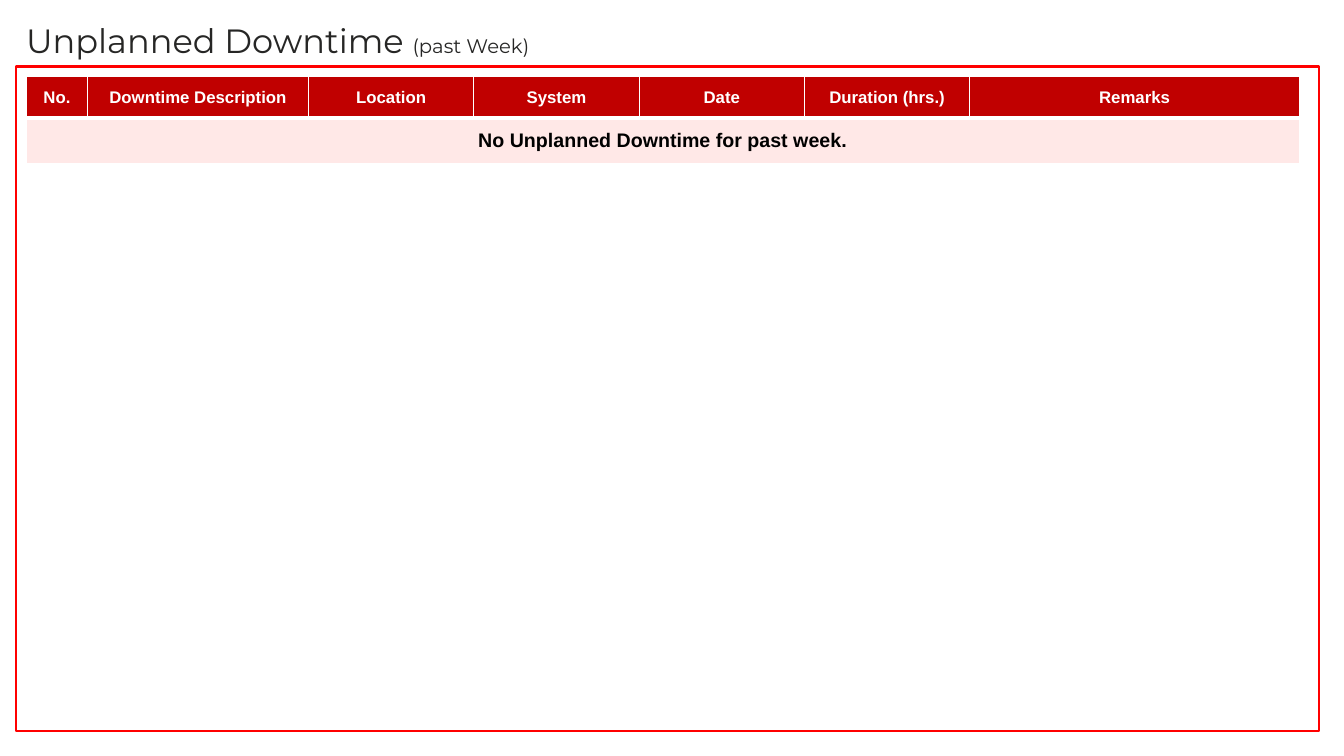
"""Build the weekly unplanned downtime slide."""
import pptx
import pptx.dml.color
import pptx.enum.shapes
import pptx.enum.text
import pptx.oxml
import pptx.oxml.ns
import pptx.util
from pptx.util import Inches

HEADERS = ["No.", "Downtime Description", "Location", "System", "Date",
           "Duration (hrs.)", "Remarks"]
WIDTHS = [0.61, 2.19, 1.64, 1.64, 1.64, 1.64, 3.27]
HEIGHTS = [0.41, 0.45]


def rgb(color):
    """Turn a hex string into a colour."""
    return pptx.dml.color.RGBColor.from_string(color)


def add_run(p, text, size, font, color, bold=False):
    """Append one formatted run to a paragraph."""
    r = p.add_run()
    r.text = text
    r.font.size = pptx.util.Pt(size)
    r.font.name = font
    r.font.bold = bold
    r.font.color.rgb = rgb(color)


def add_frame(s):
    """Draw the red outline around the content area."""
    sp = s.shapes.add_shape(pptx.enum.shapes.MSO_SHAPE.RECTANGLE,
                            Inches(0.16), Inches(0.66), Inches(12.92), Inches(6.59))
    sp.shadow.inherit = False
    sp.fill.background()
    sp.line.color.rgb = rgb("FF0000")
    sp.line.width = pptx.util.Pt(1.5)


def add_title(s):
    """Add the title with its smaller period note."""
    sp = s.shapes.add_textbox(Inches(0.16), Inches(0.15), Inches(8.24), Inches(0.5))
    tf = sp.text_frame
    tf.word_wrap = True
    p = tf.paragraphs[0]
    add_run(p, "Unplanned Downtime ", 24, "Montserrat", "262625")
    add_run(p, "(past Week)", 14, "Montserrat", "262625")


def set_borders(cell, top, bottom):
    """Give a cell white borders with the given top and bottom widths."""
    tc_pr = cell._tc.get_or_add_tcPr()
    sides = {"lnL": 1, "lnR": 1, "lnT": top, "lnB": bottom}
    for i, (side, width) in enumerate(sides.items()):
        tc_pr.insert(i, pptx.oxml.parse_xml(
            f'<a:{side} {pptx.oxml.ns.nsdecls("a")} w="{pptx.util.Pt(width)}">'
            f'<a:solidFill><a:srgbClr val="FFFFFF"/></a:solidFill></a:{side}>'))


def fill_cell(cell, text, size, color, fill):
    """Write centred bold text on a filled cell."""
    cell.fill.solid()
    cell.fill.fore_color.rgb = rgb(fill)
    cell.vertical_anchor = pptx.enum.text.MSO_ANCHOR.MIDDLE
    p = cell.text_frame.paragraphs[0]
    p.alignment = pptx.enum.text.PP_ALIGN.CENTER
    add_run(p, text, size, "Arial", color, True)


def add_downtime_table(s):
    """Add the header row and the merged message row."""
    table = s.shapes.add_table(len(HEIGHTS), len(HEADERS), Inches(0.26), Inches(0.76),
                               Inches(sum(WIDTHS)), Inches(sum(HEIGHTS))).table
    for row, height in zip(table.rows, HEIGHTS):
        row.height = Inches(height)
    for i, (header, width) in enumerate(zip(HEADERS, WIDTHS)):
        table.columns[i].width = Inches(width)
        cell = table.cell(0, i)
        cell.margin_left = cell.margin_right = cell.margin_top = cell.margin_bottom = 0
        fill_cell(cell, header, 12, "FFFFFF", "C00000")
        set_borders(cell, 1, 3)
        set_borders(table.cell(1, i), 3, 1)
    message = table.cell(1, 0)
    message.merge(table.cell(1, len(HEADERS) - 1))
    fill_cell(message, "No Unplanned Downtime for past week.", 14, "000000", "FFE8E7")


def main():
    """Build and save the slide."""
    prs = pptx.Presentation()
    prs.slide_width = Inches(13.33)
    prs.slide_height = Inches(7.5)
    s = prs.slides.add_slide(prs.slide_layouts[6])
    add_frame(s)
    add_title(s)
    add_downtime_table(s)
    prs.save("out.pptx")


if __name__ == "__main__":
    main()
